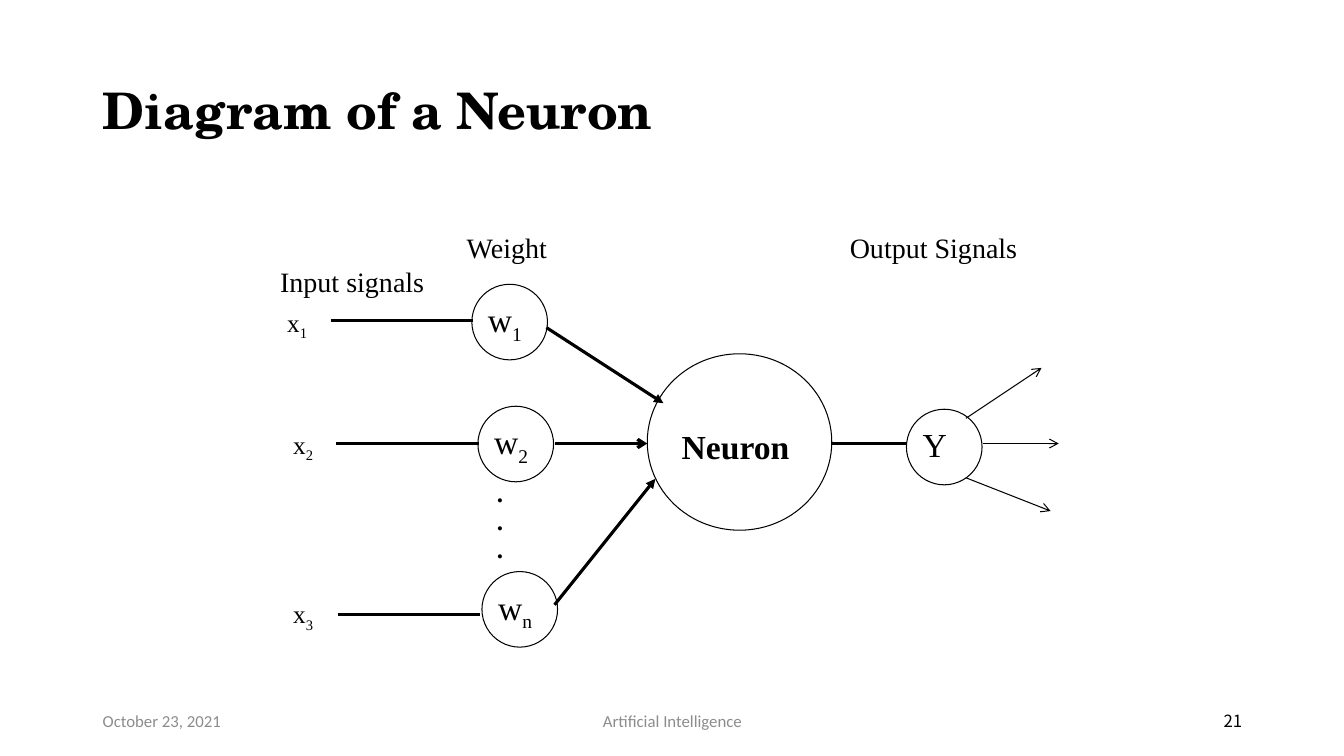
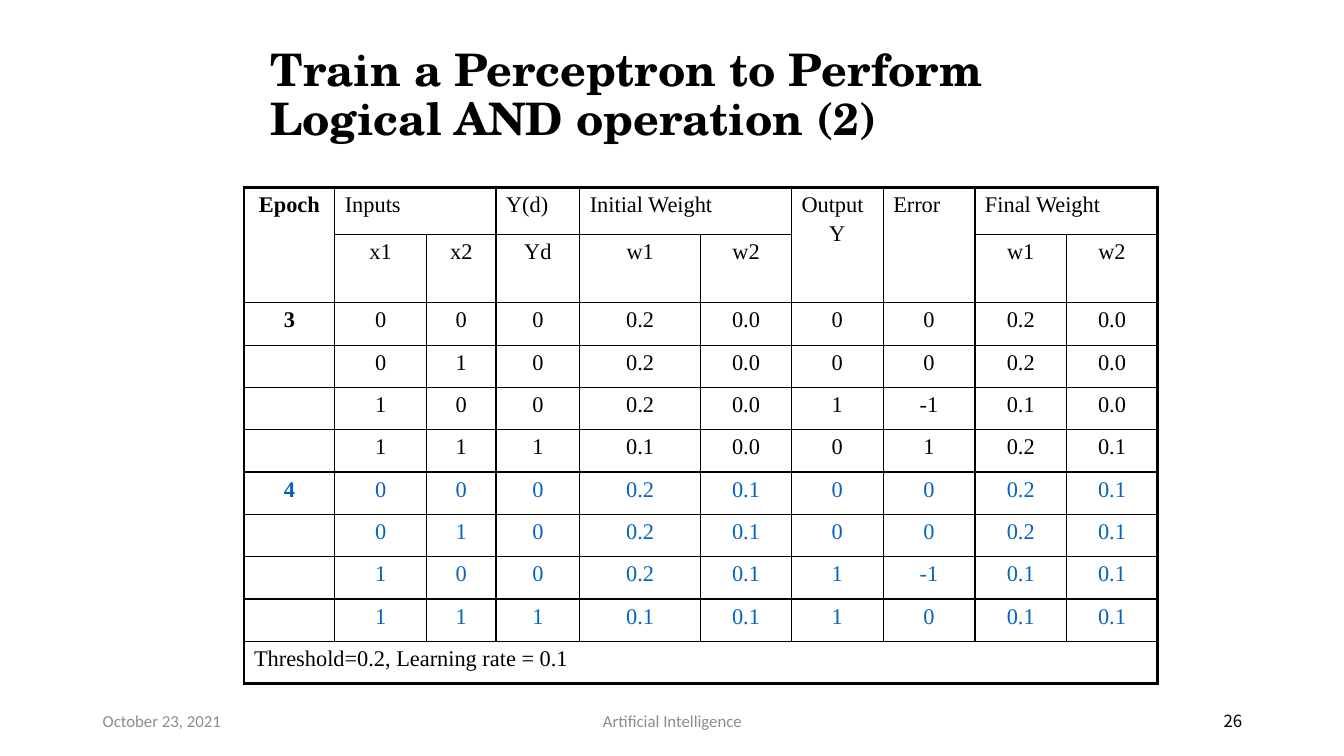
import pptx
import pptx.util
import pptx.dml.color
import pptx.enum.shapes
import pptx.enum.text
import pptx.oxml
import pptx.oxml.ns

Inches, Pt = pptx.util.Inches, pptx.util.Pt
ALIGN = pptx.enum.text.PP_ALIGN
ANCHOR = pptx.enum.text.MSO_ANCHOR
qn = pptx.oxml.ns.qn

COLORS = {"ink": "000000", "muted": "8C8C8C", "accent": "0563C1"}
SERIF, TITLE_FONT, FOOTER_FONT, NUMBER_FONT = (
    "Times New Roman", "TeX Gyre Schola", "Calibri", "Noto Sans CJK KR")
THIN, THICK = 0.75, 2.25

# Neuron diagram: text is (base, subscript)
NODE_SIZE = 0.75
NODES = [("w", "1", 4.68, 2.82), ("w", "2", 4.74, 4.03),
         ("w", "n", 4.78, 5.67), ("Y", "", 8.99, 4.06)]
NEURON_BOX = (6.42, 3.51, 1.83, 1.75)
INPUTS = [("x", "1", 2.75, 3), ("x", "2", 2.81, 4.21), ("x", "3", 2.81, 5.89)]
HEADINGS = [("Input signals", 2.68, 2.57, 1.67), ("Weight", 4.53, 2.24, 1.67),
            ("Output Signals", 8.33, 2.24, 2)]
# start x, start y, end x, end y, width, arrowhead
LINKS = [
    (3.28, 3.18, 4.69, 3.18, THICK, None),
    (3.33, 4.4, 4.75, 4.4, THICK, None),
    (3.35, 6.1, 4.76, 6.1, THICK, None),
    (5.42, 3.25, 6.58, 4, THICK, "triangle"),
    (5.5, 4.4, 6.42, 4.4, THICK, "arrow"),
    (5.5, 6, 6.5, 4.75, THICK, "triangle"),
    (8.24, 4.4, 8.99, 4.4, THICK, None),
    (9.58, 4.15, 10.33, 3.65, THIN, "arrow"),
    (9.75, 4.4, 10.5, 4.4, THIN, "arrow"),
    (9.58, 4.74, 10.42, 5.07, THIN, "arrow"),
]

# Training table
COL_WIDTHS = [0.9, 0.91, 0.69, 0.83, 1.2, 0.9, 0.91, 0.91, 0.91, 0.9]
ROW_HEIGHTS = [0.47, 0.64] + [0.42] * 9
HEADER_ROWS = 2
ROWS = [
    ["Epoch", "Inputs", "", "Y(d)", "Initial Weight", "", "Output\nY", "Error",
     "Final Weight", ""],
    ["", "x1", "x2", "Yd", "w1", "w2", "", "", "w1", "w2"],
    ["3", "0", "0", "0", "0.2", "0.0", "0", "0", "0.2", "0.0"],
    ["", "0", "1", "0", "0.2", "0.0", "0", "0", "0.2", "0.0"],
    ["", "1", "0", "0", "0.2", "0.0", "1", "-1", "0.1", "0.0"],
    ["", "1", "1", "1", "0.1", "0.0", "0", "1", "0.2", "0.1"],
    ["4", "0", "0", "0", "0.2", "0.1", "0", "0", "0.2", "0.1"],
    ["", "0", "1", "0", "0.2", "0.1", "0", "0", "0.2", "0.1"],
    ["", "1", "0", "0", "0.2", "0.1", "1", "-1", "0.1", "0.1"],
    ["", "1", "1", "1", "0.1", "0.1", "1", "0", "0.1", "0.1"],
    ["Threshold=0.2, Learning rate = 0.1"] + [""] * 9,
]
ACCENT_ROWS = range(6, 10)
# (row, column): (rows, columns) covered
SPANS = {(0, 0): (2, 1), (0, 1): (1, 2), (0, 4): (1, 2), (0, 6): (2, 1),
         (0, 7): (2, 1), (0, 8): (1, 2), (10, 0): (1, 10)}


def rgb(name):
    return pptx.dml.color.RGBColor.from_string(COLORS[name])


def style(p, size, font=SERIF, color="ink", bold=False, align=ALIGN.LEFT):
    p.alignment = align
    p.font.size, p.font.name, p.font.bold = Pt(size), font, bold
    p.font.color.rgb = rgb(color)


def add_text(s, text, box, size, anchor=ANCHOR.TOP, **look):
    tf = s.shapes.add_textbox(*map(Inches, box)).text_frame
    tf.word_wrap, tf.vertical_anchor = True, anchor
    tf.text = text
    for p in tf.paragraphs:
        style(p, size, **look)
    return tf


def add_subscript(p, text):
    if text:
        r = p.add_run()
        r.text = text
        r.font._element.set("baseline", "-25000")


def add_base_slide(prs, title, title_box, title_size, number):
    """Blank slide with the shared title style and footer."""
    s = prs.slides.add_slide(prs.slide_layouts[6])
    tf = add_text(s, title, title_box, title_size, ANCHOR.MIDDLE,
                  font=TITLE_FONT, bold=True)
    tf.paragraphs[0].line_spacing = 0.9
    footers = [
        ("October 23, 2021", 0.92, 3, FOOTER_FONT, "muted", ALIGN.LEFT),
        ("Artificial Intelligence", 4.42, 4.5, FOOTER_FONT, "muted", ALIGN.CENTER),
        (str(number), 9.42, 3, NUMBER_FONT, "ink", ALIGN.RIGHT),
    ]
    for text, x, w, font, color, align in footers:
        add_text(s, text, (x, 6.95, w, 0.4), 12, ANCHOR.MIDDLE,
                 font=font, color=color, align=align)
    return s


def add_circle(s, text, box, insets, anchor, **look):
    sp = s.shapes.add_shape(pptx.enum.shapes.MSO_SHAPE.OVAL, *map(Inches, box))
    sp.shadow.inherit = False
    sp.fill.background()
    sp.line.color.rgb, sp.line.width = rgb("ink"), Pt(THIN)
    tf = sp.text_frame
    tf.word_wrap, tf.vertical_anchor = True, anchor
    tf.margin_left, tf.margin_top, tf.margin_right, tf.margin_bottom = map(Inches, insets)
    tf.text = text
    style(tf.paragraphs[0], 24, **look)
    return tf.paragraphs[0]


def add_link(s, x1, y1, x2, y2, width, head):
    line = s.shapes.add_connector(pptx.enum.shapes.MSO_CONNECTOR.STRAIGHT,
                                  *map(Inches, (x1, y1, x2, y2)))
    line.line.color.rgb, line.line.width = rgb("ink"), Pt(width)
    if head:
        ln = line.line._get_or_add_ln()
        ln.append(ln.makeelement(qn("a:tailEnd"), {"type": head}))
    props = line._element.spPr
    props.append(props.makeelement(qn("a:effectLst"), {}))


def set_borders(cell, widths):
    """Draw cell borders, with widths in points for left, right, top, bottom."""
    props = cell._tc.get_or_add_tcPr()
    for i, (side, width) in enumerate(zip("LRTB", widths)):
        props.insert(i, pptx.oxml.parse_xml(
            f'<a:ln{side} {pptx.oxml.ns.nsdecls("a")} w="{Pt(width)}"><a:solidFill>'
            f'<a:srgbClr val="{COLORS["ink"]}"/></a:solidFill></a:ln{side}>'))


def neuron_slide(prs):
    s = add_base_slide(prs, "Diagram of a Neuron", (0.92, 0.4, 11.5, 1.45), 36, 21)
    for text, sub, x, y in NODES:
        p = add_circle(s, text, (x, y, NODE_SIZE, NODE_SIZE), (0.05, 0.04, 0, 0),
                       ANCHOR.TOP)
        add_subscript(p, sub)
    add_circle(s, "Neuron", NEURON_BOX, (0, 0.08, 0.08, 0), ANCHOR.MIDDLE,
               bold=True, align=ALIGN.CENTER)
    for text, sub, x, y in INPUTS:
        tf = add_text(s, text, (x, y, 0.5, 0.4), 18)
        add_subscript(tf.paragraphs[0], sub)
    for text, x, y, w in HEADINGS:
        add_text(s, text, (x, y, w, 0.43), 20)
    dots = add_text(s, ".\n.\n.", (4.83, 4.82, 0.58, 0.88), 18, bold=True)
    for p in dots.paragraphs:
        p.line_spacing, p.space_before = 0.5, Pt(9)
    for link in LINKS:
        add_link(s, *link)


def fill_cell(cell, text, row, col):
    heading = row == 0 and col > 0 or row == len(ROWS) - 1
    cell.text = text
    for i, p in enumerate(cell.text_frame.paragraphs):
        style(p, 16, color="accent" if row in ACCENT_ROWS else "ink",
              bold=col == 0 and not heading,
              align=ALIGN.LEFT if heading and i == 0 else ALIGN.CENTER)
        if i:
            p.space_before = Pt(3)
    cell.fill.background()
    rows, cols = SPANS.get((row, col), (1, 1))
    outer = (col == 0, col + cols == len(COL_WIDTHS),
             row == 0, row + rows == len(ROWS))
    set_borders(cell, [THICK if edge else 1 for edge in outer])


def table_slide(prs):
    s = add_base_slide(prs, "Train a Perceptron to Perform\vLogical AND operation (2)",
                       (2.58, 0.33, 8.5, 1.25), 32, 26)
    table = s.shapes.add_table(
        len(ROWS), len(COL_WIDTHS), Inches(2.42), Inches(1.86),
        Inches(sum(COL_WIDTHS)), Inches(sum(ROW_HEIGHTS))).table
    table.first_row = table.horz_banding = False
    for column, width in zip(table.columns, COL_WIDTHS):
        column.width = Inches(width)
    for row, height in zip(table.rows, ROW_HEIGHTS):
        row.height = Inches(height)
    for (r, c), (rows, cols) in SPANS.items():
        table.cell(r, c).merge(table.cell(r + rows - 1, c + cols - 1))
    for r, row in enumerate(ROWS):
        for c, text in enumerate(row):
            fill_cell(table.cell(r, c), text, r, c)


def main():
    prs = pptx.Presentation()
    prs.slide_width, prs.slide_height = Inches(13.33), Inches(7.5)
    neuron_slide(prs)
    table_slide(prs)
    prs.save("out.pptx")


if __name__ == "__main__":
    main()
